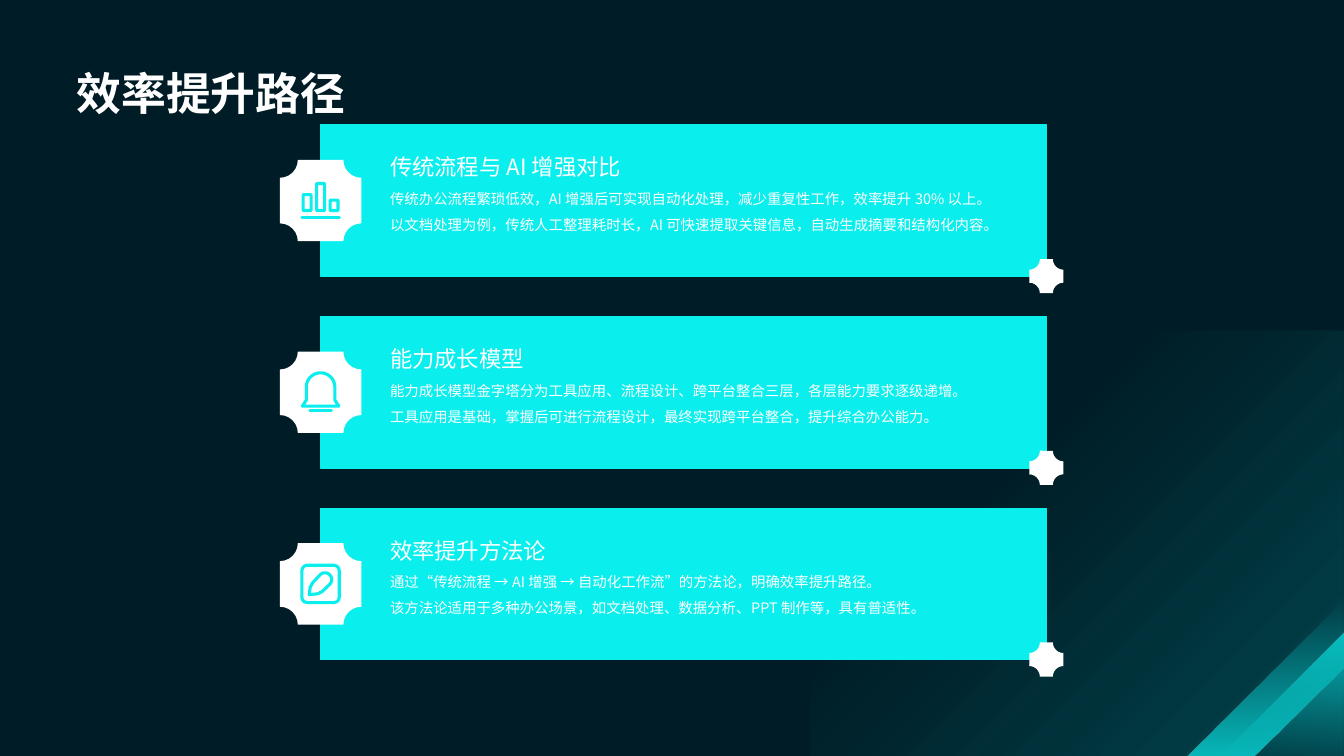
"""Build the slide on paths to higher efficiency."""
import math

import pptx
import pptx.dml.color
import pptx.enum.shapes
import pptx.enum.text
import pptx.util
from lxml import etree

TITLE = "效率提升路径"
CARDS = [
    ("bars", "传统流程与 AI 增强对比",
     "传统办公流程繁琐低效，AI 增强后可实现自动化处理，减少重复性工作，效率提升 30% 以上。\n"
     "以文档处理为例，传统人工整理耗时长，AI 可快速提取关键信息，自动生成摘要和结构化内容。"),
    ("bell", "能力成长模型",
     "能力成长模型金字塔分为工具应用、流程设计、跨平台整合三层，各层能力要求逐级递增。\n"
     "工具应用是基础，掌握后可进行流程设计，最终实现跨平台整合，提升综合办公能力。"),
    ("pen", "效率提升方法论",
     "通过“传统流程 → AI 增强 → 自动化工作流”的方法论，明确效率提升路径。\n"
     "该方法论适用于多种办公场景，如文档处理、数据分析、PPT 制作等，具有普适性。"),
]
THEME = {"back": "001C26", "cyan": "0BEEEE", "white": "FFFFFF",
         "font": "Noto Sans CJK SC", "title": 32, "head": 16, "body": 10.3,
         "edge": 1, "icon": 2.2}
WIDE, HIGH = 33.87, 19.05
LEFT, TOP, WIDTH, HEIGHT, PITCH = 8.08, 3.15, 18.29, 3.81, 4.83
BADGE, STAR = 2.05, 0.86
INSET, SPAN = 1.75, 16.05

Cm = pptx.util.Cm
Pt = pptx.util.Pt
KIND = pptx.enum.shapes.MSO_SHAPE
ANCHOR = pptx.enum.text.MSO_ANCHOR
ALIGN = pptx.enum.text.PP_ALIGN


def color(name):
    """Return a theme colour."""
    return pptx.dml.color.RGBColor.from_string(THEME[name])


def tag(name):
    """Return a qualified drawing tag."""
    return "{http://schemas.openxmlformats.org/drawingml/2006/main}" + name


def paint(shape, fill=None, line=None, width=0):
    """Set plain fill and line."""
    shape.shadow.inherit = False
    if fill:
        shape.fill.solid()
        shape.fill.fore_color.rgb = color(fill)
    else:
        shape.fill.background()
    if line:
        shape.line.color.rgb = color(line)
        shape.line.width = Pt(width)
    else:
        shape.line.fill.background()
    return shape


def fade(shape, angle, stops):
    """Fill with cyan that changes in opacity."""
    paint(shape)
    shape.fill.gradient()
    shape.fill.gradient_angle = angle
    for stop, (place, _) in zip(shape.fill.gradient_stops, stops):
        stop.color.rgb = color("cyan")
        stop.position = place
    marks = shape.element.spPr.iter(tag("srgbClr"))
    for mark, (_, alpha) in zip(marks, stops):
        etree.SubElement(mark, tag("alpha")).set("val", str(alpha * 1000))


def block(slide, kind, x, y, w, h):
    """Add a preset shape."""
    return slide.shapes.add_shape(kind, Cm(x), Cm(y), Cm(w), Cm(h))


def shape_of(slide, points, close=True):
    """Add a freeform through the points."""
    dots = [(Cm(x), Cm(y)) for x, y in points]
    pen = slide.shapes.build_freeform(*dots[0])
    pen.add_line_segments(dots[1:], close=close)
    return pen.convert_to_shape()


def write(box, text, size, anchor, space=None, bold=False):
    """Put formatted text in a box."""
    frame = box.text_frame
    frame.word_wrap = True
    frame.auto_size = pptx.enum.text.MSO_AUTO_SIZE.NONE
    frame.vertical_anchor = anchor
    frame.margin_left = frame.margin_right = 0
    frame.margin_top = frame.margin_bottom = 0
    para = frame.paragraphs[0]
    para.text = text
    para.alignment = ALIGN.LEFT
    if space:
        para.line_spacing = space
    for run in para.runs:
        run.font.size = Pt(THEME[size])
        run.font.bold = bold
        run.font.color.rgb = color("white")
        run.font.name = THEME["font"]
        east = etree.SubElement(run.font._element, tag("ea"))
        east.set("typeface", THEME["font"])


def label(slide, x, y, w, h, *style):
    """Add a text box."""
    write(slide.shapes.add_textbox(Cm(x), Cm(y), Cm(w), Cm(h)), *style)


def stroke(slide, x, y, half):
    """Add a level round-ended line."""
    line = slide.shapes.add_connector(
        pptx.enum.shapes.MSO_CONNECTOR.STRAIGHT,
        Cm(x - half), Cm(y), Cm(x + half), Cm(y))
    line.line.color.rgb = color("cyan")
    line.line.width = Pt(THEME["icon"])
    line.line._get_or_add_ln().set("cap", "rnd")
    etree.SubElement(line._element.spPr, tag("effectLst"))


def arc(x, y, r, start, end):
    """Return points on an arc, angles clockwise from the right."""
    turns = [math.radians(start + (end - start) * i / 16) for i in range(17)]
    return [(x + r * math.cos(t), y + r * math.sin(t)) for t in turns]


def ink(shape):
    """Give a shape the icon outline."""
    paint(shape, line="cyan", width=THEME["icon"])


def bars(slide, x, y):
    """Draw the chart icon."""
    for i, top in enumerate((-0.15, -0.43, -0.01)):
        bar = block(slide, KIND.ROUNDED_RECTANGLE,
                    x - 0.44 + 0.34 * i, y + top, 0.2, 0.25 - top)
        bar.adjustments[0] = 0.1
        ink(bar)
    stroke(slide, x, y + 0.43, 0.47)


def bell(slide, x, y):
    """Draw the bell icon."""
    dome = arc(x, y - 0.13, 0.36, 180, 360)
    rim = [(x + 0.36, y + 0.2), (x + 0.46, y + 0.35),
           (x - 0.46, y + 0.35), (x - 0.36, y + 0.2)]
    ink(shape_of(slide, dome + rim))
    stroke(slide, x, y + 0.47, 0.27)


def pen(slide, x, y):
    """Draw the pen icon."""
    frame = block(slide, KIND.ROUNDED_RECTANGLE, x - 0.47, y - 0.47, 0.94, 0.94)
    frame.adjustments[0] = 0.14
    ink(frame)
    tip = [(x + 0.03, y + 0.2), (x - 0.08, y + 0.25), (x - 0.29, y + 0.27),
           (x - 0.26, y + 0.08), (x - 0.2, y - 0.03)]
    ink(shape_of(slide, arc(x + 0.11, y - 0.11, 0.17, 225, 405) + tip))


def scene(slide):
    """Draw the backdrop."""
    slide.background.fill.solid()
    slide.background.fill.fore_color.rgb = color("back")
    glow = block(slide, KIND.RECTANGLE, 20.42, 8.33, WIDE - 20.42, HIGH - 8.33)
    fade(glow, 315, [(0.36, 0), (1, 20)])
    corner = [(WIDE, 15.93), (WIDE, HIGH), (30.75, HIGH)]
    fade(shape_of(slide, corner), 270, [(0, 70), (1, 0)])
    band = [(WIDE, 15.1), (WIDE, 16.8), (31.6, HIGH), (29.92, HIGH)]
    fade(shape_of(slide, band), 90, [(0, 70), (1, 0)])


def card(slide, y, icon, head, body):
    """Draw one card with its badge and text."""
    paint(block(slide, KIND.RECTANGLE, LEFT, y, WIDTH, HEIGHT),
          "cyan", "cyan", THEME["edge"])
    middle = y + HEIGHT / 2
    plates = [(LEFT, middle, BADGE, 0.22),
              (LEFT + WIDTH, y + HEIGHT, STAR, 0.31)]
    for x, mid, size, notch in plates:
        plate = block(slide, KIND.PLAQUE, x - size / 2, mid - size / 2, size, size)
        plate.adjustments[0] = notch
        paint(plate, "white")
    {"bars": bars, "bell": bell, "pen": pen}[icon](slide, LEFT, middle)
    x = LEFT + INSET
    label(slide, x, y + 1.42, SPAN, 2.08, body, "body", ANCHOR.TOP, 1.5)
    label(slide, x, y + 0.37, SPAN, 1.02, head, "head", ANCHOR.BOTTOM, 1.3)


def main():
    """Build and save the deck."""
    deck = pptx.Presentation()
    deck.slide_width, deck.slide_height = Cm(WIDE), Cm(HIGH)
    slide = deck.slides.add_slide(deck.slide_layouts[5])
    scene(slide)
    for i, item in enumerate(CARDS):
        card(slide, TOP + PITCH * i, *item)
    title = slide.shapes.title
    title.left, title.top = Cm(1.93), Cm(0.99)
    title.width, title.height = Cm(30), Cm(2.01)
    write(title, TITLE, "title", ANCHOR.BOTTOM, bold=True)
    deck.save("out.pptx")


if __name__ == "__main__":
    main()
